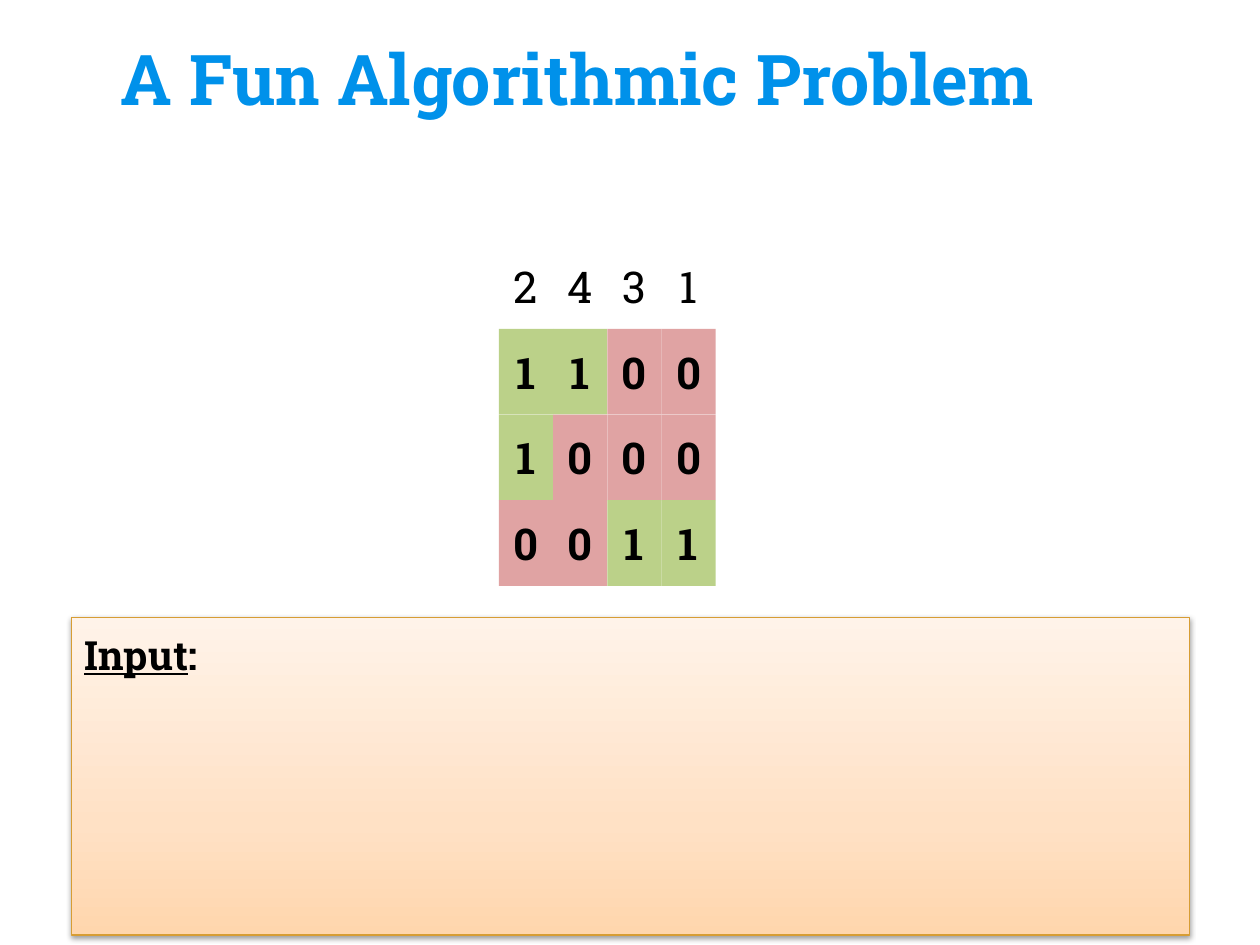
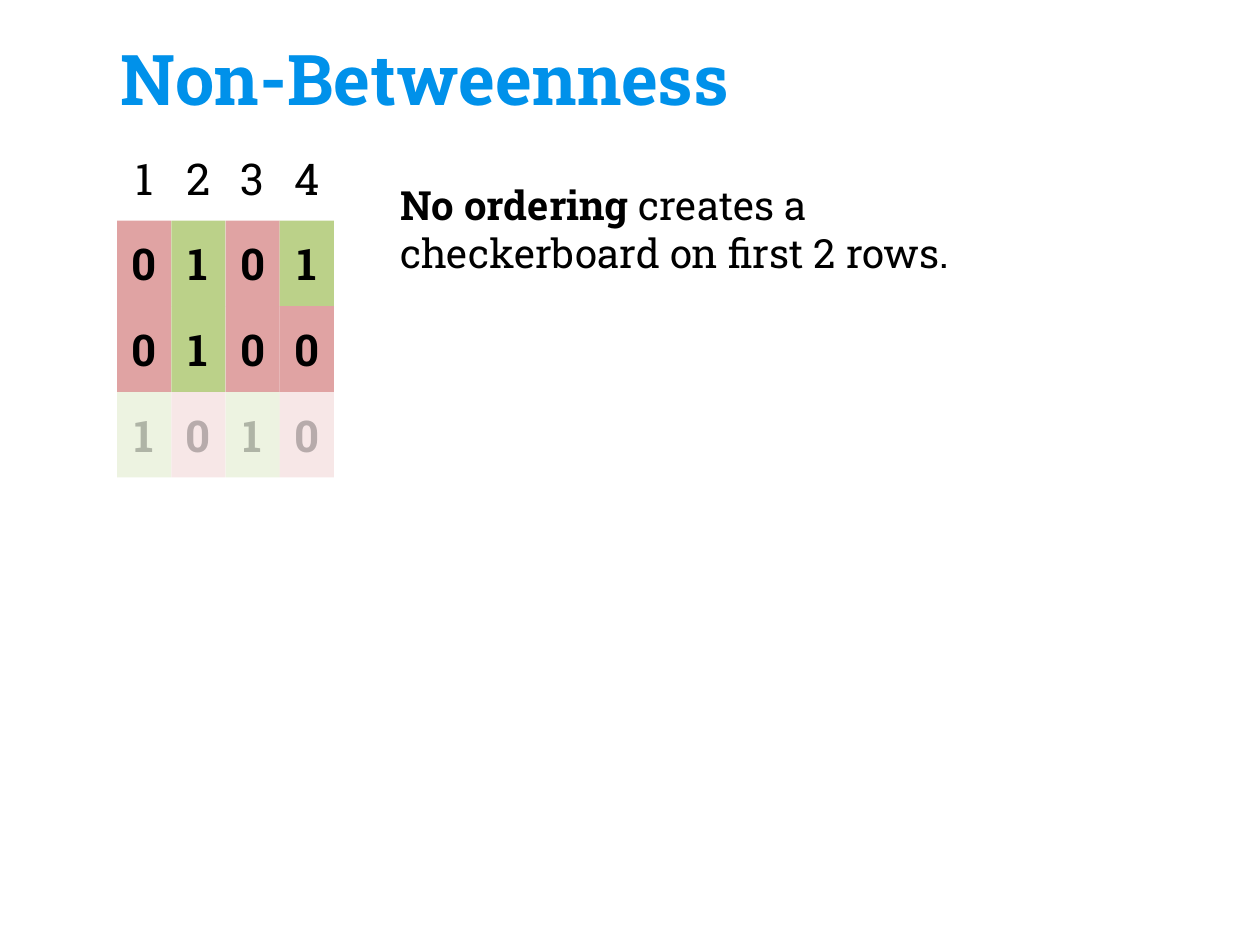
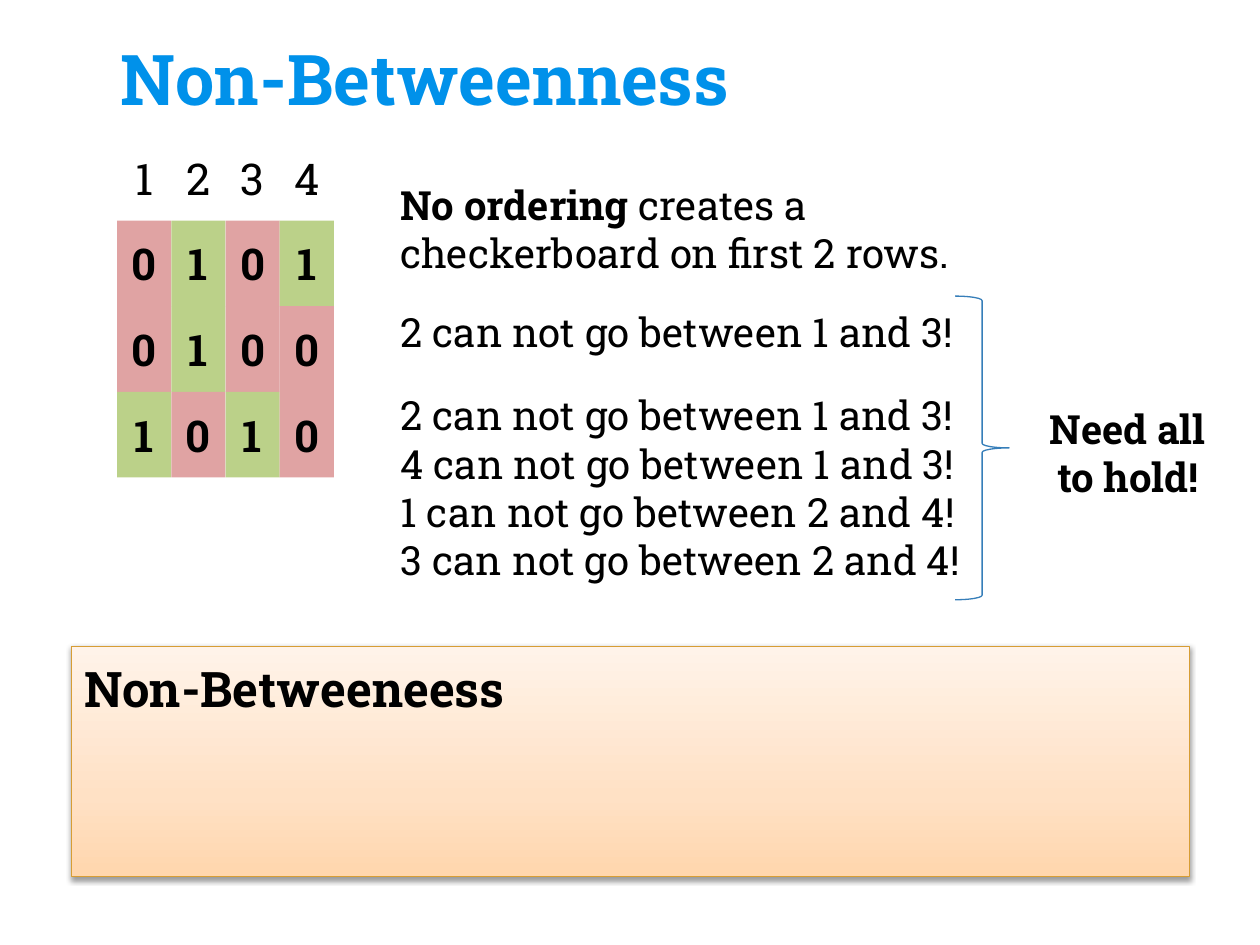
from copy import deepcopy
from dataclasses import dataclass

from pptx import Presentation
from pptx.dml.color import RGBColor
from pptx.enum.shapes import MSO_SHAPE
from pptx.enum.text import MSO_ANCHOR, MSO_AUTO_SIZE, PP_ALIGN
from pptx.oxml.ns import qn
from pptx.util import Emu, Pt
from lxml.etree import SubElement

PX = 9144
CELL_W, CELL_H = 43, 68


@dataclass(frozen=True)
class Theme:
    font: str = "Roboto Slab"
    title: str = "0091EA"
    text: str = "000000"
    one: str = "BBD189"
    zero: str = "E0A3A3"
    panel_line: str = "D79D34"
    brace: str = "367EB9"
    panel_stops: tuple = ((0, "FFD6AD"), (0.35, "FFE1C5"), (1, "FFF3E9"))
    title_size: int = 40
    panel_size: int = 28
    cell_size: int = 25
    body_size: int = 23
    faded: int = 25


THEME = Theme()


def px(*lengths):
    return [Emu(n * PX) for n in lengths]


def set_alpha(fill, percent):
    color = fill._xPr.find(qn("a:solidFill")).find(qn("a:srgbClr"))
    SubElement(color, qn("a:alpha"), val=str(percent * 1000))


def write(sp, paragraphs, size=THEME.body_size, color=THEME.text, bold=False,
          align=PP_ALIGN.LEFT, anchor=MSO_ANCHOR.TOP, alpha=100, grow=False):
    tf = sp.text_frame
    tf.word_wrap = True
    tf.auto_size = MSO_AUTO_SIZE.SHAPE_TO_FIT_TEXT if grow else MSO_AUTO_SIZE.NONE
    tf.vertical_anchor = anchor
    tf.margin_left, tf.margin_top, tf.margin_right, tf.margin_bottom = px(10, 10, 10, 10)
    for i, runs in enumerate(paragraphs):
        p = tf.add_paragraph() if i else tf.paragraphs[0]
        p.alignment = align
        for text, style in [(runs, {})] if isinstance(runs, str) else runs:
            r = p.add_run()
            r.text = text
            r.font.name = THEME.font
            r.font.size = Pt(size)
            r.font.bold = style.get("bold", bold)
            if "underline" in style:
                r.font.underline = style["underline"]
            r.font.color.rgb = RGBColor.from_string(color)
            if alpha < 100:
                set_alpha(r.font.fill, alpha)


def add_slide(prs, title):
    s = prs.slides.add_slide(prs.slide_layouts[5])
    sp = s.shapes.title
    sp.left, sp.top, sp.width, sp.height = px(86, 3, 828, 102)
    write(sp, [title], size=THEME.title_size, color=THEME.title, bold=True,
          anchor=MSO_ANCHOR.BOTTOM)
    return s


def add_text(s, box, paragraphs, **style):
    sp = s.shapes.add_textbox(*px(*box))
    write(sp, paragraphs, **style)


def add_shape(s, preset, box):
    sp = s.shapes.add_shape(preset, *px(*box))
    sp.shadow.inherit = False
    return sp


def add_matrix(s, left, top, labels, rows, faded_rows=()):
    style = dict(size=THEME.cell_size, align=PP_ALIGN.CENTER, anchor=MSO_ANCHOR.MIDDLE)
    for col, label in enumerate(labels):
        x = left + col * CELL_W
        add_text(s, (x, top, CELL_W, CELL_H), [label], **style)
        for row, digits in enumerate(rows):
            y = top + (row + 1) * CELL_H
            alpha = THEME.faded if row in faded_rows else 100
            sp = add_shape(s, MSO_SHAPE.RECTANGLE, (x, y, CELL_W, CELL_H))
            sp.line.fill.background()
            sp.fill.solid()
            fill = THEME.one if digits[col] == "1" else THEME.zero
            sp.fill.fore_color.rgb = RGBColor.from_string(fill)
            if alpha < 100:
                set_alpha(sp.fill, alpha)
            write(sp, [digits[col]], bold=True, alpha=alpha, **style)


def add_panel(s, top, height, runs, **style):
    sp = add_shape(s, MSO_SHAPE.RECTANGLE, (57, top, 887, height))
    sp.fill.gradient()
    sp.fill.gradient_angle = 90
    stops = sp.element.spPr.find(qn("a:gradFill")).find(qn("a:gsLst"))
    stops.append(deepcopy(stops[-1]))
    for stop, (position, color) in zip(sp.fill.gradient_stops, THEME.panel_stops):
        stop.position = position
        stop.color.rgb = RGBColor.from_string(color)
    sp.line.color.rgb = RGBColor.from_string(THEME.panel_line)
    sp.line.width = Pt(0.75)
    effects = sp.element.spPr.find(qn("a:effectLst"))
    shadow = SubElement(effects, qn("a:outerShdw"), blurRad="40000", dist="20000",
                        dir="5400000", rotWithShape="0")
    color = SubElement(shadow, qn("a:srgbClr"), val=THEME.text)
    SubElement(color, qn("a:alpha"), val="38000")
    write(sp, [runs], bold=True, **style)


def add_brace(s, box):
    sp = add_shape(s, MSO_SHAPE.RIGHT_BRACE, box)
    sp.fill.background()
    sp.line.color.rgb = RGBColor.from_string(THEME.brace)
    sp.line.width = Pt(0.75)


def add_betweenness(prs, faded_rows=()):
    s = add_slide(prs, "Non-Betweenness")
    add_matrix(s, 93, 107, "1234", ("0101", "0100", "1010"), faded_rows)
    add_text(s, (308, 133, 493, 98),
             [[("No ordering", {"bold": True}),
               (" creates a checkerboard on first 2 rows.", {})]], grow=True)
    return s


def rule(item, first, second):
    return f"{item} can not go between {first} and {second}!"


def main():
    prs = Presentation()
    prs.slide_width, prs.slide_height = px(1000, 750)

    s = add_slide(prs, "A Fun Algorithmic Problem")
    add_matrix(s, 396, 193, "2431", ("1100", "1000", "0011"))
    add_panel(s, 490, 252, [("Input", {"underline": True}), (":", {})])

    add_betweenness(prs, faded_rows=(2,))

    s = add_betweenness(prs)
    add_text(s, (308, 234, 493, 59), [rule(2, 1, 3)], grow=True)
    add_text(s, (308, 300, 493, 175),
             [rule(2, 1, 3), rule(4, 1, 3), rule(1, 2, 4), rule(3, 2, 4)], grow=True)
    add_brace(s, (758, 235, 43, 241))
    add_text(s, (821, 311, 148, 98), ["Need all to hold!"], bold=True,
             align=PP_ALIGN.CENTER, grow=True)
    add_panel(s, 513, 183, "Non-Betweeneess", size=THEME.panel_size)

    prs.save("out.pptx")


if __name__ == "__main__":
    main()
